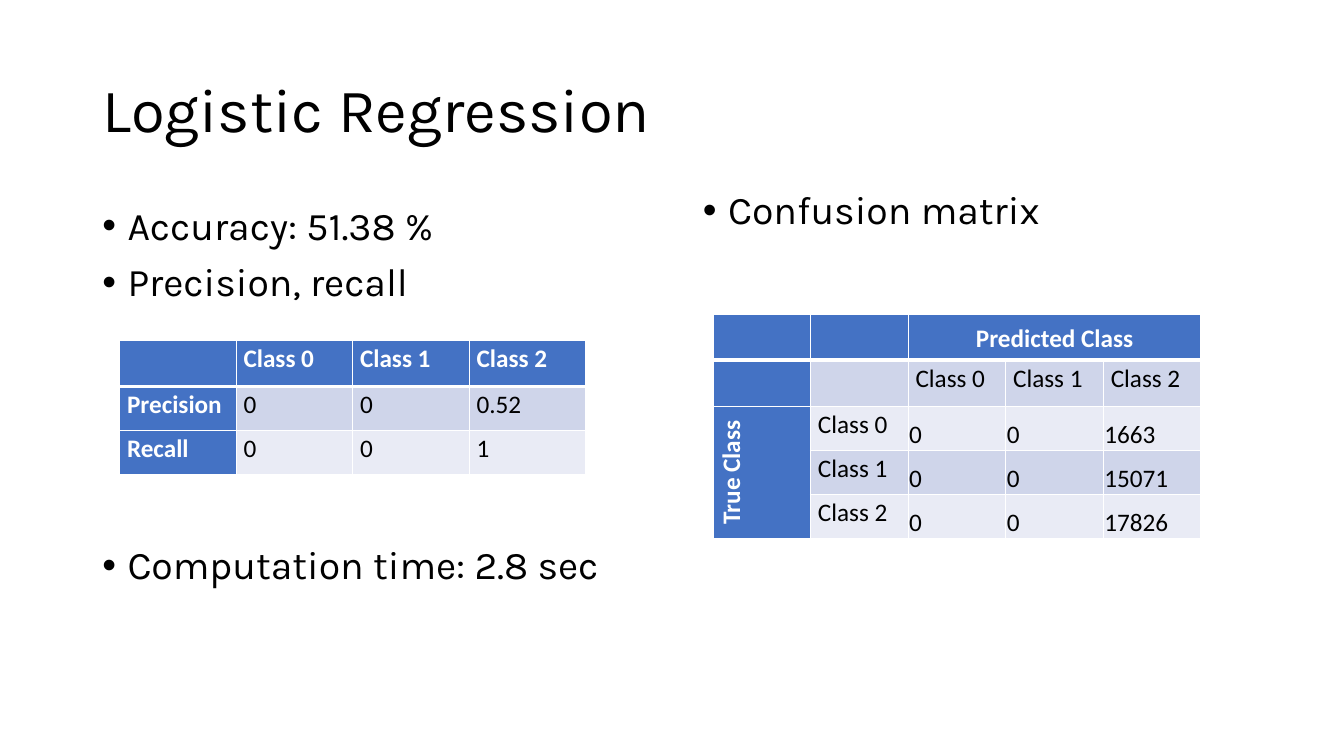
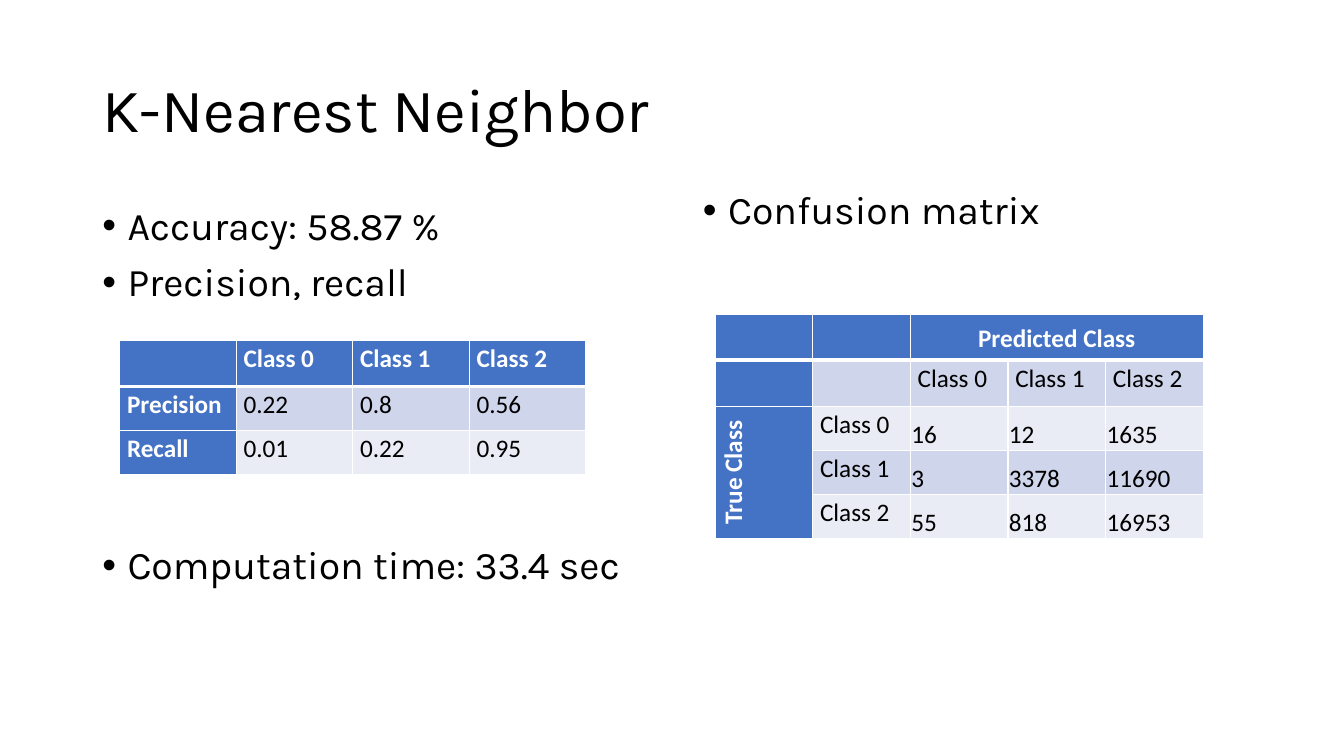
"""Build two slides that report classifier results with score tables and confusion matrices."""
from dataclasses import dataclass

from lxml.etree import SubElement
from pptx import Presentation
from pptx.dml.color import RGBColor
from pptx.enum.text import MSO_ANCHOR, MSO_AUTO_SIZE, PP_ALIGN
from pptx.oxml.ns import qn
from pptx.util import Pt

PX = 9525


@dataclass(frozen=True)
class Theme:
    ink: str = "000000"
    paper: str = "FFFFFF"
    header: str = "4472C4"
    bands: tuple = ("E9EBF5", "CFD5EA")
    prose_font: str = "Karla"
    table_font: str = "Calibri"
    title_size: int = 44
    body_size: int = 28
    table_size: int = 18


THEME = Theme()


def write(paragraph, text, *, size, font, color=THEME.ink, bold=False,
          align=PP_ALIGN.LEFT, spacing=0.9, before=0, bullet=False):
    run = paragraph.add_run()
    run.text = text
    run.font.size = Pt(size)
    run.font.name = font
    run.font.bold = bold
    run.font.color.rgb = RGBColor.from_string(color)
    paragraph.alignment = align
    paragraph.line_spacing = spacing
    paragraph.space_before = Pt(before)
    if bullet:
        props = paragraph._p.get_or_add_pPr()
        props.set("marL", str(24 * PX))
        props.set("indent", str(-24 * PX))
        SubElement(props, qn("a:buFont")).set("typeface", "Arial")
        SubElement(props, qn("a:buChar")).set("char", "•")


def paint_cell(cell, fill, top_width, bottom_width, side_inset):
    props = cell._tc.get_or_add_tcPr()
    for edge, width in (("L", 1), ("R", 1), ("T", top_width), ("B", bottom_width)):
        line = SubElement(props, qn(f"a:ln{edge}"), w=str(Pt(width)))
        color = SubElement(SubElement(line, qn("a:solidFill")), qn("a:srgbClr"))
        color.set("val", THEME.paper)
    cell.fill.solid()
    cell.fill.fore_color.rgb = RGBColor.from_string(fill)
    cell.margin_left = cell.margin_right = side_inset * PX
    cell.margin_top, cell.margin_bottom = PX, 0


CLASSES = ["Class 0", "Class 1", "Class 2"]
MODELS = [
    {
        "name": "Logistic Regression",
        "accuracy": "51.38 %",
        "time": "2.8 sec",
        "precision": ["0", "0", "0.52"],
        "recall": ["0", "0", "1"],
        "confusion": [["0", "0", "1663"], ["0", "0", "15071"], ["0", "0", "17826"]],
        "matrix_left": 679,
    },
    {
        "name": "K-Nearest Neighbor",
        "accuracy": "58.87 %",
        "time": "33.4 sec",
        "precision": ["0.22", "0.8", "0.56"],
        "recall": ["0.01", "0.22", "0.95"],
        "confusion": [["16", "12", "1635"], ["3", "3378", "11690"], ["55", "818", "16953"]],
        "matrix_left": 681,
    },
]

deck = Presentation()
deck.slide_width, deck.slide_height = 1280 * PX, 720 * PX

for model in MODELS:
    slide = deck.slides.add_slide(deck.slide_layouts[5])

    title = slide.shapes.title
    title.left, title.top, title.width, title.height = 88 * PX, 38 * PX, 1104 * PX, 139 * PX
    title.text_frame.auto_size = MSO_AUTO_SIZE.NONE
    title.text_frame.vertical_anchor = MSO_ANCHOR.MIDDLE
    write(title.text_frame.paragraphs[0], model["name"],
          size=THEME.title_size, font=THEME.prose_font)

    findings = [
        (f"Accuracy: {model['accuracy']}", 10),
        ("Precision, recall", 10),
        (f"Computation time: {model['time']}", 172),
    ]
    for left, top, bullets in ((88, 192, findings), (660, 177, [("Confusion matrix", 10)])):
        column = slide.shapes.add_textbox(left * PX, top * PX, 553 * PX, 457 * PX).text_frame
        column.word_wrap = True
        for index, (text, before) in enumerate(bullets):
            paragraph = column.add_paragraph() if index else column.paragraphs[0]
            write(paragraph, text, size=THEME.body_size, font=THEME.prose_font,
                  before=before, bullet=True)

    scores = [["", *CLASSES], ["Precision", *model["precision"]], ["Recall", *model["recall"]]]
    matrix = [["", "", "Predicted Class", "", ""], ["", "", *CLASSES]]
    for index, counts in enumerate(model["confusion"]):
        matrix.append(["" if index else "True Class", CLASSES[index], *counts])

    for grid, left, top, col_width, row_heights in (
        (scores, 114, 324, 111, (44, 42, 42)),
        (matrix, model["matrix_left"], 299, 93, (44, 44, 42, 42, 42)),
    ):
        cols = len(grid[0])
        table = slide.shapes.add_table(
            len(grid), cols, left * PX, top * PX,
            cols * col_width * PX, sum(row_heights) * PX).table
        for column in table.columns:
            column.width = col_width * PX
        for r, (row, height) in enumerate(zip(grid, row_heights)):
            table.rows[r].height = height * PX
            for c, text in enumerate(row):
                cell = table.cell(r, c)
                is_header = r == 0 or c == 0
                is_count = grid is matrix and r > 1 and c > 1
                is_axis = text in ("Predicted Class", "True Class")
                paint_cell(cell, THEME.header if is_header else THEME.bands[r % 2],
                           3 if r == 1 else 1, 3 if r == 0 else 1, 1 if is_count else 7)
                if is_count:
                    cell.vertical_anchor = MSO_ANCHOR.BOTTOM
                elif is_axis:
                    cell.vertical_anchor = MSO_ANCHOR.MIDDLE
                if text:
                    write(cell.text_frame.paragraphs[0], text,
                          size=THEME.table_size, font=THEME.table_font,
                          color=THEME.paper if is_header else THEME.ink, bold=is_header,
                          align=PP_ALIGN.CENTER if is_axis else PP_ALIGN.LEFT, spacing=1.07)
        if grid is matrix:
            table.cell(0, 2).merge(table.cell(0, 4))
            table.cell(2, 0).merge(table.cell(4, 0))
            table.cell(2, 0)._tc.get_or_add_tcPr().set("vert", "vert270")

deck.save("out.pptx")
